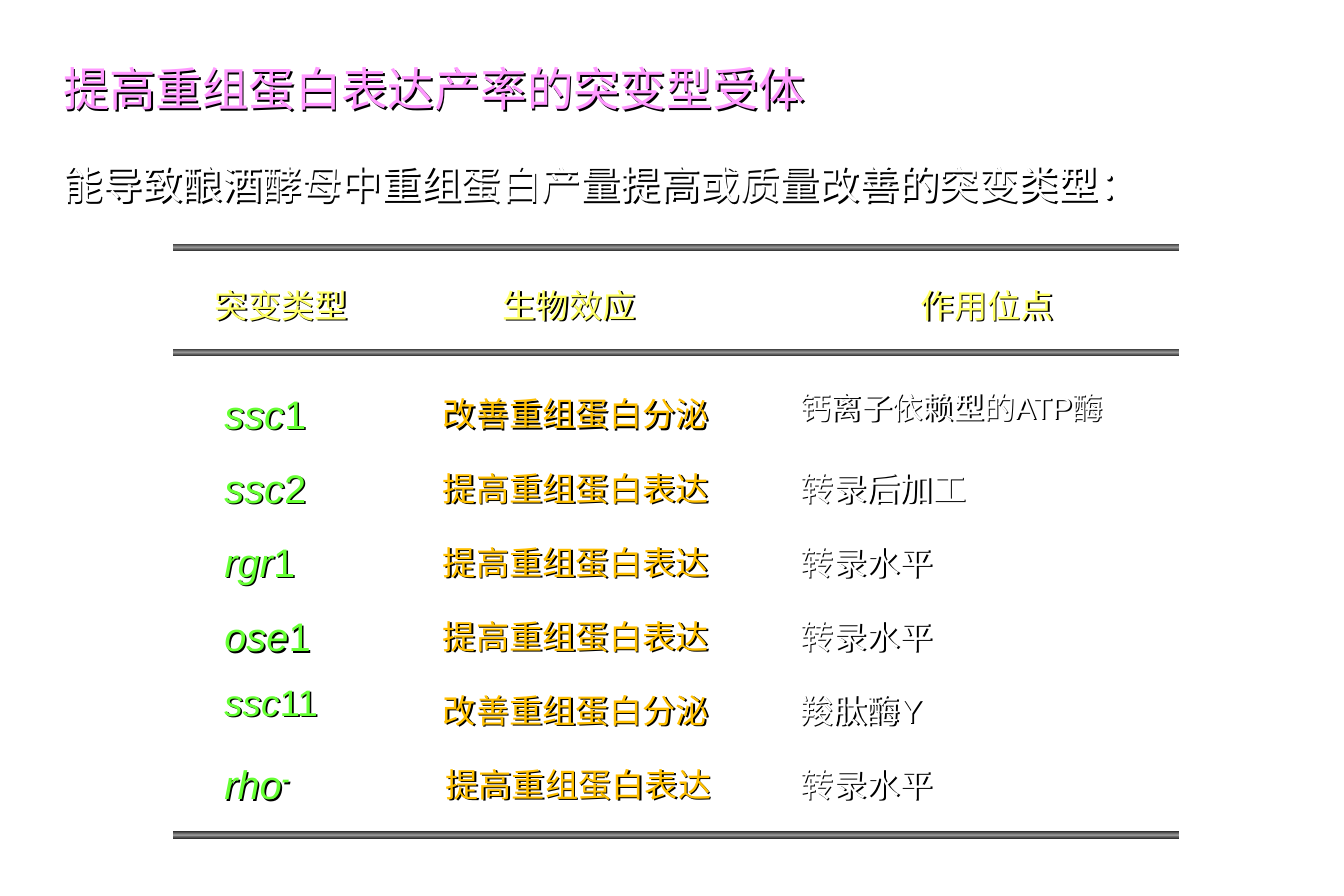
from copy import deepcopy
from pptx import Presentation
from pptx.dml.color import RGBColor as Rgb
from pptx.enum.shapes import MSO_SHAPE as Kind
from pptx.oxml import parse_xml
from pptx.oxml.ns import nsdecls
from pptx.util import Inches, Pt

TITLE = "提高重组蛋白表达产率的突变型受体"
LEAD = "能导致酿酒酵母中重组蛋白产量提高或质量改善的突变类型："
HEADS = [("突变类型", 1.7), ("生物效应", 4.11), ("作用位点", 7.61)]
ROWS = [
    ("ssc", "1", "改善重组蛋白分泌", "钙离子依赖型的ATP酶"),
    ("ssc", "2", "提高重组蛋白表达", "转录后加工"),
    ("rgr", "1", "提高重组蛋白表达", "转录水平"),
    ("ose", "1", "提高重组蛋白表达", "转录水平"),
    ("ssc", "11", "改善重组蛋白分泌", "羧肽酶Y"),
    ("rho", "-", "提高重组蛋白表达", "转录水平"),
]
SHRUNK = {"ssc11": 22.2, "钙离子依赖型的ATP酶": 18.5}
PINK, WHITE, LIME, LEMON, GOLD = "FF99FF", "FFFFFF", "66FF33", "FFFF66", "FFC000"
DARK, MID = "323232", "969696"
WIDE, HIGH = 11.25, 7.5
EDGE, PITCH = 0.43, 0.62
GENE, EFFECT, SITE = 1.78, 3.61, 6.6
BARS = [2.04, 2.92, 6.96]

SHADE = (
    f'<a:effectLst {nsdecls("a")}><a:outerShdw dist="17961" dir="2700000" '
    'algn="ctr" rotWithShape="0"><a:srgbClr val="000000"/></a:outerShdw></a:effectLst>'
)


def tint(code):
    return Rgb.from_string(code)


def write(slide, box, runs, size, code, before):
    area = slide.shapes.add_textbox(*map(Inches, box))
    area.fill.background()
    area._element.spPr.append(parse_xml(SHADE))
    area.text_frame.word_wrap = True
    para = area.text_frame.paragraphs[0]
    whole = "".join(text for text, _ in runs)
    real = SHRUNK.get(whole, size)
    form = {"line_spacing": 1.5 if real == size else 1.4, "space_before": Pt(before)}
    for key, value in form.items():
        setattr(para, key, value)
    for text, style in runs:
        run = para.add_run()
        run.text = text
        look = {"name": "Arial", "size": Pt(real), **style}
        for key, value in look.items():
            setattr(run.font, key, value)
        run.font.color.rgb = tint(code)
        if text == "-":
            run.font._element.set("baseline", "30000")


def rule(slide, top):
    bar = slide.shapes.add_shape(Kind.RECTANGLE, *map(Inches, (1.45, top, 8.42, 0.06)))
    bar.shadow.inherit = False
    bar.line.fill.background()
    bar.fill.gradient()
    bar.fill.gradient_angle = 90
    first = bar.fill.gradient_stops[0]._gs
    first.addnext(deepcopy(first))
    for stop, code, place in zip(bar.fill.gradient_stops, (DARK, MID, DARK), (0, 0.5, 1)):
        stop.color.rgb = tint(code)
        stop.position = place


def main():
    deck = Presentation()
    deck.slide_width, deck.slide_height = Inches(WIDE), Inches(HIGH)
    slide = deck.slides.add_slide(deck.slide_layouts[6])
    write(slide, (EDGE, 0.22, 6.62, 0.9), [(TITLE, {})], 28, PINK, 7)
    write(slide, (EDGE, 1.09, 9.45, 0.77), [(LEAD, {})], 24, WHITE, 6)
    for top in BARS:
        rule(slide, top)
    for text, left in HEADS:
        write(slide, (left, 2.17, 1.33, 0.77), [(text, {})], 20, LEMON, 5)
    for row, (stem, mark, effect, site) in enumerate(ROWS):
        drop = row * PITCH
        minus = mark == "-"
        gene = [(stem, {"italic": True}), (mark, {"italic": minus, "bold": minus})]
        shift = 0.02 if minus else 0
        write(slide, (GENE, 3.01 + drop, 1.2, 0.77), gene, 24, LIME, 6)
        write(slide, (EFFECT + shift, 3.08 + drop, 2.44, 0.71), [(effect, {})], 20, GOLD, 5)
        write(slide, (SITE, 3.08 + drop, 3.07, 0.71), [(site, {})], 20, WHITE, 5)
    deck.save("out.pptx")


if __name__ == "__main__":
    main()
